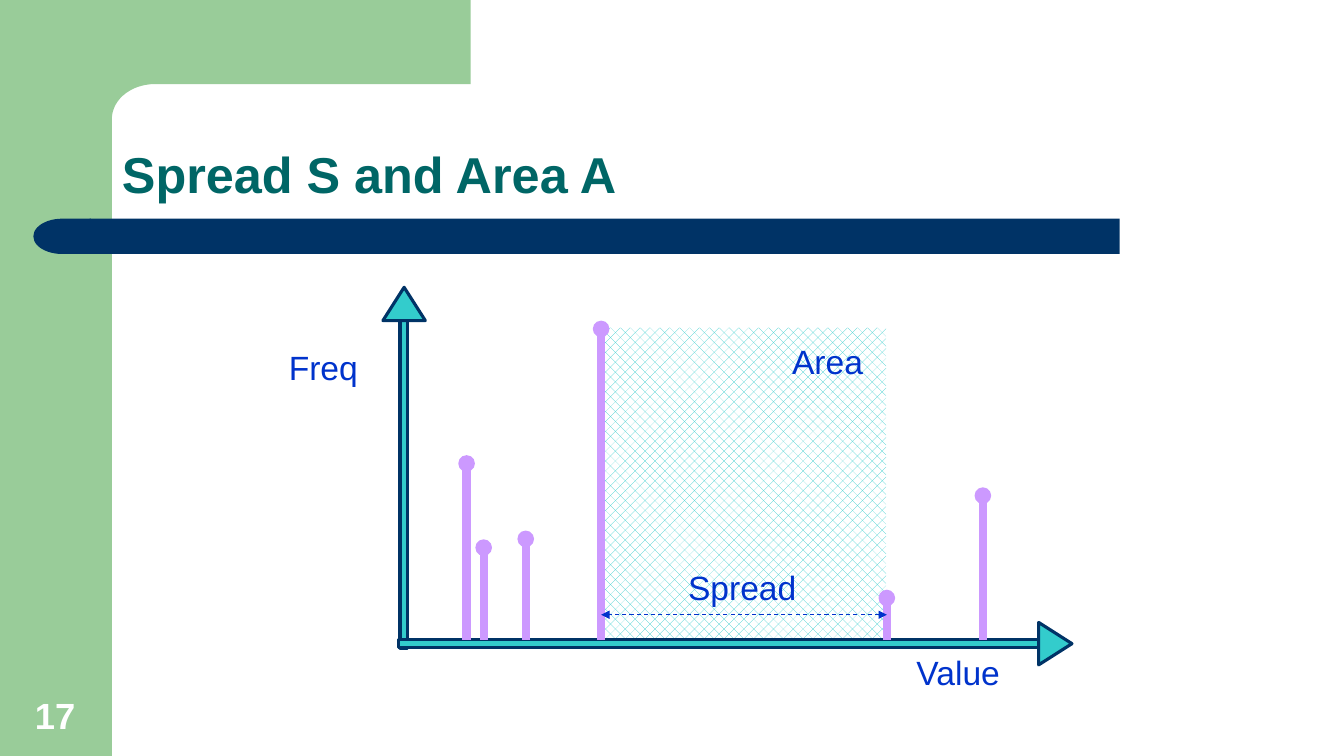
import math

from lxml import etree
from pptx import Presentation
from pptx.dml.color import RGBColor
from pptx.enum import dml, shapes, text
from pptx.oxml import ns
from pptx.util import Cm, Pt

GREEN = RGBColor(0x99, 0xCC, 0x99)
NAVY = RGBColor(0x00, 0x33, 0x66)
TEAL = RGBColor(0x00, 0x66, 0x66)
AQUA = RGBColor(0x33, 0xCC, 0xCC)
LILAC = RGBColor(0xCC, 0x99, 0xFF)
BLUE = RGBColor(0x00, 0x33, 0xCC)
WHITE = RGBColor(0xFF, 0xFF, 0xFF)

KIND = shapes.MSO_SHAPE
LEFT, MID, RIGHT = text.PP_ALIGN.LEFT, text.PP_ALIGN.CENTER, text.PP_ALIGN.RIGHT
TOP, BOTTOM = text.MSO_ANCHOR.TOP, text.MSO_ANCHOR.BOTTOM


def write(frame, words, size=24, color=BLUE, bold=False, align=RIGHT,
          anchor=TOP, wrap=False, space=1.0):
    frame.word_wrap = wrap
    frame.auto_size = text.MSO_AUTO_SIZE.NONE
    frame.vertical_anchor = anchor
    para = frame.paragraphs[0]
    para.alignment = align
    para.line_spacing = space
    run = para.add_run()
    run.text = words
    run.font.name = "Arial"
    run.font.size = Pt(size)
    run.font.bold = bold
    run.font.color.rgb = color


class Page:
    def __init__(self, slide):
        self.slide = slide
        self.items = slide.shapes

    def paint(self, item, fill, edge=None):
        item.shadow.inherit = False
        item.fill.solid()
        item.fill.fore_color.rgb = fill
        if edge is None:
            item.line.fill.background()
        else:
            item.line.color.rgb = edge
            item.line.width = Pt(2.25)

    def shape(self, kind, x, y, w, h, fill, edge=None, turn=0):
        item = self.items.add_shape(kind, Cm(x), Cm(y), Cm(w), Cm(h))
        item.rotation = turn
        self.paint(item, fill, edge)
        return item

    def outline(self, points, fill):
        spots = [(Cm(x), Cm(y)) for x, y in points]
        pen = self.items.build_freeform(*spots[0])
        pen.add_line_segments(spots[1:], close=True)
        self.paint(pen.convert_to_shape(), fill)

    def title(self, words, x, y, w, h):
        item = self.items.title
        item.left, item.top, item.width, item.height = Cm(x), Cm(y), Cm(w), Cm(h)
        write(item.text_frame, words, size=36, color=TEAL, bold=True,
              align=LEFT, anchor=BOTTOM, wrap=True, space=0.9)

    def label(self, words, x, y, w, h=1.27, **style):
        item = self.items.add_textbox(Cm(x), Cm(y), Cm(w), Cm(h))
        write(item.text_frame, words, **style)

    def line(self, x1, y1, x2, y2, color, width):
        item = self.items.add_connector(
            shapes.MSO_CONNECTOR.STRAIGHT, Cm(x1), Cm(y1), Cm(x2), Cm(y2))
        item.line.color.rgb = color
        item.line.width = Pt(width)
        etree.SubElement(item._element.spPr, ns.qn("a:effectLst"))
        return item

    def arrow(self, x1, y1, x2, y2, color, width):
        item = self.line(x1, y1, x2, y2, color, width)
        item.line.dash_style = dml.MSO_LINE.DASH
        edge = item.line._get_or_add_ln()
        for end in ("a:headEnd", "a:tailEnd"):
            etree.SubElement(edge, ns.qn(end), type="triangle")

    def stem(self, x, y, base, size=0.42):
        self.line(x, base, x, y, LILAC, 6)
        self.shape(KIND.OVAL, x - size / 2, y - size / 2, size, size, LILAC)


def main():
    deck = Presentation()
    deck.slide_width, deck.slide_height = Cm(33.87), Cm(19.05)
    page = Page(deck.slides.add_slide(deck.slide_layouts[5]))

    # Green frame with a rounded inner corner
    page.shape(KIND.RECTANGLE, 0, 0, 2.82, 19.05, GREEN)
    bend = [(3.9 - 1.08 * math.sin(a), 3 - 0.88 * math.cos(a))
            for a in (math.radians(d) for d in range(0, 91, 6))]
    page.outline([(11.86, 0), (11.86, 2.12), *bend,
                  (2.82, 3.25), (1.7, 3.25), (1.7, 0)], GREEN)

    # Title, bar and page number
    page.shape(KIND.RECTANGLE, 2.26, 5.51, 25.96, 0.89, NAVY)
    page.shape(KIND.FLOWCHART_DELAY, 0.84, 5.51, 1.45, 0.89, NAVY, turn=180)
    page.label("17", 0.3, 17.35, 2.18, 1.35, size=26, color=WHITE,
               bold=True, align=MID, anchor=BOTTOM)
    page.title("Spread S and Area A", 2.82, 2.11, 29.36, 3.18)

    # Hatched area
    area = page.shape(KIND.RECTANGLE, 15.14, 8.26, 7.19, 7.82, AQUA)
    area.fill.patterned()
    area.fill.pattern = dml.MSO_PATTERN.PERCENT_30
    area.fill.fore_color.rgb = AQUA
    area.fill.back_color.rgb = WHITE

    # Axes
    page.shape(KIND.RECTANGLE, 10.08, 8.08, 0.2, 8.26, AQUA, NAVY)
    page.shape(KIND.ISOSCELES_TRIANGLE, 9.65, 7.24, 1.07, 0.84, AQUA, NAVY)
    page.shape(KIND.RECTANGLE, 10.05, 16.12, 16.13, 0.2, AQUA, NAVY)
    page.shape(KIND.ISOSCELES_TRIANGLE, 26.06, 15.8, 1.07, 0.84, AQUA, NAVY,
               turn=90)
    page.label("Freq", 7.01, 8.61, 2.26)
    page.label("Value", 22.76, 16.31, 2.69)

    # Frequency stems
    for x, y in ((11.76, 11.68), (12.19, 13.8), (13.25, 13.58),
                 (15.15, 8.29), (22.35, 15.07), (24.77, 12.49)):
        page.stem(x, y, 16.12)

    # Spread
    page.arrow(22.35, 15.49, 15.15, 15.49, BLUE, 0.75)
    page.label("Spread", 17.07, 14.15, 3.25)
    page.label("Area", 19.69, 8.46, 2.31)

    deck.save("out.pptx")


if __name__ == "__main__":
    main()
